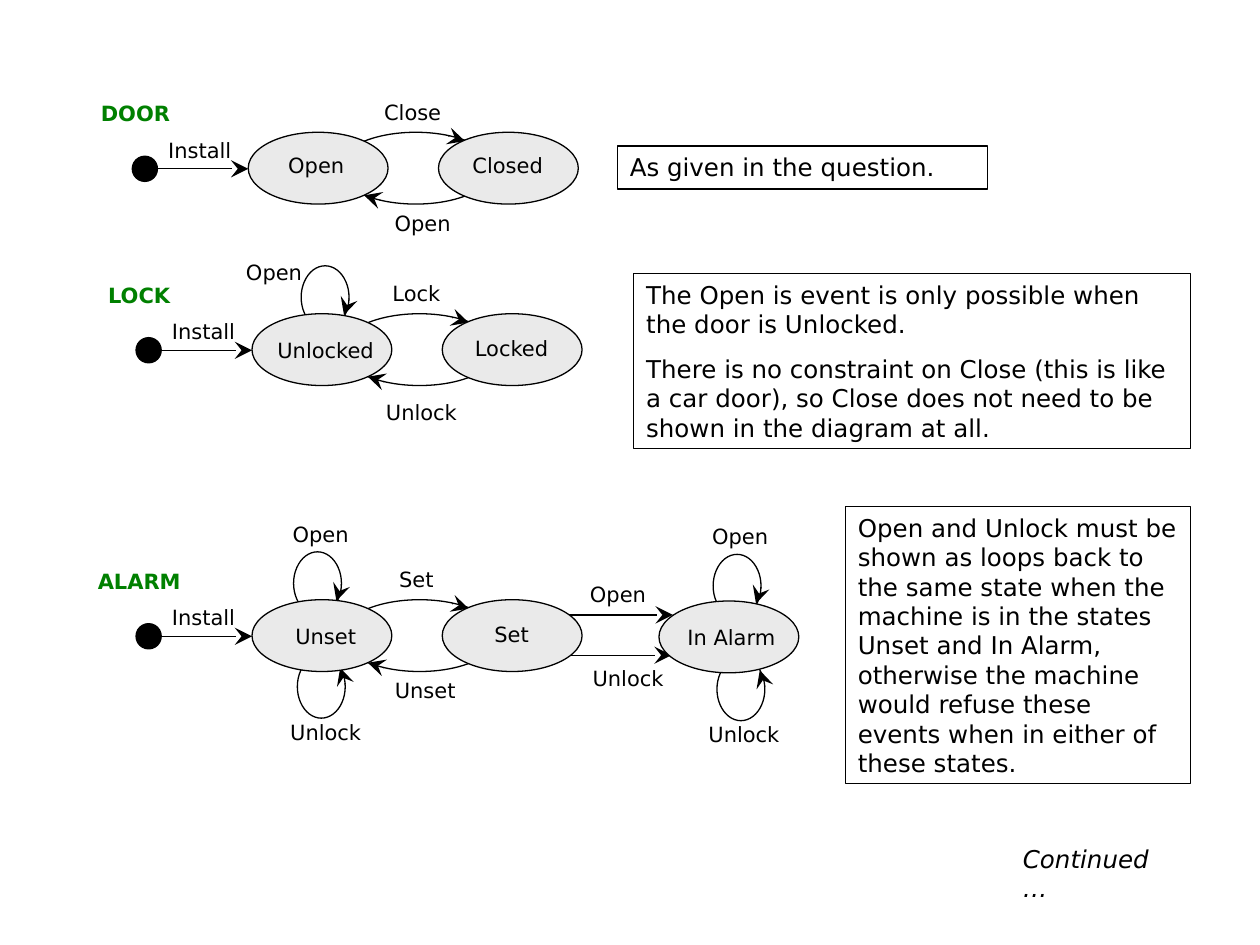
from pptx import Presentation
from pptx.dml.color import RGBColor
from pptx.enum.shapes import MSO_CONNECTOR, MSO_SHAPE
from pptx.enum.text import MSO_ANCHOR, MSO_AUTO_SIZE, PP_ALIGN
from pptx.oxml.ns import qn
from pptx.util import Pt
from lxml.etree import SubElement

PX = 9144  # 100 px to the inch
BLACK = RGBColor(0x00, 0x00, 0x00)
GREEN = RGBColor(0x00, 0x80, 0x00)
GREY = RGBColor(0xEA, 0xEA, 0xEA)
FONT = "DejaVu Sans"
LINE_WIDTH = Pt(0.75)

presentation = Presentation()
presentation.slide_width = 1000 * PX
presentation.slide_height = 750 * PX
slide = presentation.slides.add_slide(presentation.slide_layouts[6])


def add_outlined(kind, left, top, width, height, fill=None):
    shape = slide.shapes.add_shape(kind, left * PX, top * PX, width * PX, height * PX)
    shape.shadow.inherit = False
    if fill is None:
        shape.fill.background()
    else:
        shape.fill.solid()
        shape.fill.fore_color.rgb = fill
    shape.line.color.rgb = BLACK
    shape.line.width = LINE_WIDTH
    return shape


def write(shape, text, size=12, align=PP_ALIGN.CENTER, color=BLACK, bold=False, italic=False):
    frame = shape.text_frame
    frame.word_wrap = True
    frame.vertical_anchor = MSO_ANCHOR.TOP
    frame.text = text
    for index, paragraph in enumerate(frame.paragraphs):
        paragraph.alignment = align
        if index:
            paragraph.space_before = Pt(8.8)
        for run in paragraph.runs:
            run.font.name = FONT
            run.font.size = Pt(size)
            run.font.color.rgb = color
            run.font.bold = bold
            run.font.italic = italic


ovals = []    # left, top, width, height, fill
arrows = []   # start x, start y, end x, end y
labels = []   # text, left, top, width, height
titles = []   # text, left, top

# What the three machines share: start dot, first two states, arcs between them
for title, x, y, forward in [
    ("DOOR", 268, 105, "Close"),
    ("LOCK", 271, 249, "Lock"),
    ("ALARM", 271, 476, "Set"),
]:
    ovals += [
        (x, y, 124, 57, None),
        (x - 163, y + 19, 20, 20, BLACK),
        (x - 71, y, 111, 57, GREY),
        (x + 80, y, 111, 57, GREY),
    ]
    arrows += [
        (x + 88, y + 3, x + 101, y + 7),
        (x + 34, y + 54, x + 21, y + 50),
        (x - 156, y + 29, x - 71, y + 29),
    ]
    labels += [
        ("Install", x - 159, y - 1, 99, 36),
        (forward, x + 10, y - 31, 99, 36),
    ]
    titles.append((title, x - 210, y - 30))

# Loops back to the same state; the head lies on the right-hand side
for x, y, head_start, head_end in [
    (239, 211, 26, 39),
    (233, 438, 26, 39),
    (566, 440, 26, 39),
    (236, 520, 23, 10),
    (569, 522, 23, 10),
]:
    ovals.append((x, y, 38, 50, None))
    arrows.append((x + 38, y + head_start, x + 34, y + head_end))

# The third alarm state
ovals.append((523, 477, 111, 57, GREY))
arrows += [(447, 488, 534, 488), (446, 520, 533, 520)]

labels += [
    ("Open", 209, 116, 84, 32),
    ("Closed", 361, 116, 84, 32),
    ("Unlocked", 205, 263, 107, 32),
    ("Locked", 364, 261, 84, 32),
    ("Unset", 205, 490, 107, 32),
    ("Set", 364, 488, 84, 32),
    ("In Alarm", 524, 491, 113, 32),
    ("Open", 286, 162, 99, 36),
    ("Unlock", 285, 312, 99, 36),
    ("Open", 168, 201, 99, 36),
    ("Unset", 288, 533, 99, 36),
    ("Open", 205, 409, 99, 36),
    ("Unlock", 209, 566, 99, 36),
    ("Open", 441, 457, 99, 36),
    ("Unlock", 449, 523, 99, 36),
    ("Open", 538, 411, 99, 36),
    ("Unlock", 541, 568, 99, 36),
]

# Arcs and loops lie behind the arrows, and these behind the filled states
for oval in ovals:
    if oval[-1] is None:
        add_outlined(MSO_SHAPE.OVAL, *oval)

for arrow in arrows:
    connector = slide.shapes.add_connector(
        MSO_CONNECTOR.STRAIGHT, *[length * PX for length in arrow])
    connector.line.color.rgb = BLACK
    connector.line.width = LINE_WIDTH
    SubElement(connector.line._get_or_add_ln(), qn("a:tailEnd"),
               type="stealth", w="lg", len="lg")
    SubElement(connector._element.spPr, qn("a:effectLst"))

for oval in ovals:
    if oval[-1] is not None:
        add_outlined(MSO_SHAPE.OVAL, *oval)

for text, *box in labels:
    write(slide.shapes.add_textbox(*[length * PX for length in box]), text)

for text, left, top in titles:
    title_box = slide.shapes.add_textbox(left * PX, top * PX, 99 * PX, 36 * PX)
    write(title_box, text, color=GREEN, bold=True)

for text, *box in [
    ("As given in the question.", 490, 116, 294, 34),
    ("The Open is event is only possible when the door is Unlocked.\n"
     "There is no constraint on Close (this is like a car door), so Close "
     "does not need to be shown in the diagram at all.", 503, 217, 442, 139),
    ("Open and Unlock must be shown as loops back to the same state when the "
     "machine is in the states Unset and In Alarm, otherwise the machine would "
     "refuse these events when in either of these states.", 671, 402, 274, 220),
]:
    note = add_outlined(MSO_SHAPE.RECTANGLE, *box)
    write(note, text, size=14, align=PP_ALIGN.LEFT)
    note.text_frame.auto_size = MSO_AUTO_SIZE.SHAPE_TO_FIT_TEXT

continued = slide.shapes.add_textbox(802 * PX, 665 * PX, 143 * PX, 34 * PX)
write(continued, "Continued …", size=14, align=PP_ALIGN.LEFT, italic=True)

presentation.save("out.pptx")
